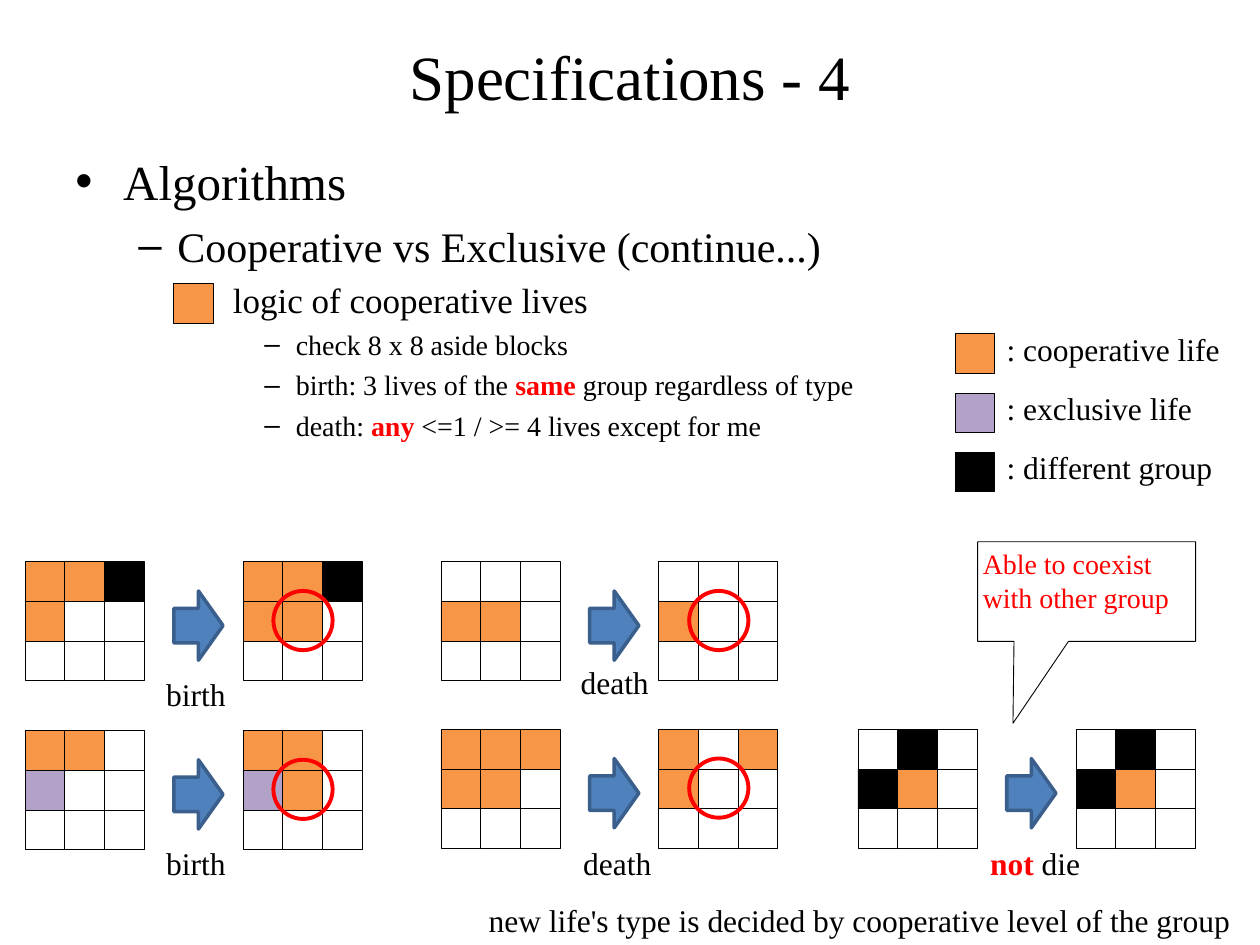
from dataclasses import dataclass
from typing import NamedTuple

from lxml import etree
from pptx import Presentation
from pptx.dml.color import RGBColor
from pptx.enum.shapes import MSO_SHAPE as Shape
from pptx.enum.text import MSO_ANCHOR as Anchor, MSO_AUTO_SIZE as AutoSize, PP_ALIGN as Align
from pptx.oxml.ns import qn
from pptx.util import Inches, Pt

FONT = "Times New Roman"
COLORS = {
    "text": "000000", "accent": "FF0000",
    "cooperative": "F79646", "exclusive": "B3A2C7", "other": "000000", "empty": "FFFFFF",
    "arrow": "4F81BD", "arrow_edge": "3A5F8C",
}
CELL_KINDS = {"C": "cooperative", "X": "exclusive", "#": "other", ".": "empty"}
CELL = 0.315
AFTER_OFFSET = 1.73
ARROW_OFFSET = 1.18
MARK_OFFSET = 0.23


class Words(NamedTuple):
    """A run of text in one colour and weight."""
    text: str
    color: str = "text"
    bold: bool = False


class Bullet(NamedTuple):
    """One outline line; the mark is empty where a square stands in for it."""
    level: int
    mark: str
    words: list[Words]


class OutlineLevel(NamedTuple):
    """Size and indents of an outline level."""
    size: float
    margin: float
    indent: float


@dataclass
class Transition:
    """A before and an after grid, with the outcome named below the arrow."""
    left: float
    top: float
    before: str
    after: str
    label: list[Words]
    label_box: tuple[float, float, float]
    marked: bool = True


LEVELS = [OutlineLevel(28, 0.38, -0.38), OutlineLevel(24, 0.81, -0.31),
          OutlineLevel(20, 1.25, 0), OutlineLevel(16, 1.75, -0.25)]

OUTLINE = [
    Bullet(0, "•", [Words("Algorithms")]),
    Bullet(1, "–", [Words("Cooperative vs Exclusive (continue...)")]),
    Bullet(2, "", [Words("logic of cooperative lives")]),
    Bullet(3, "–", [Words("check 8 x 8 aside blocks")]),
    Bullet(3, "–", [Words("birth: 3 lives of the "), Words("same", "accent", True),
                    Words(" group regardless of type")]),
    Bullet(3, "–", [Words("death: "), Words("any", "accent", True),
                    Words(" <=1 / >= 4 lives except for me")]),
]

BIRTH, DEATH = [Words("birth")], [Words("death")]
TRANSITIONS = [
    Transition(0.2, 4.46, "CC# C.. ...", "CC# CC. ...", BIRTH, (1.22, 5.31, 0.68)),
    Transition(3.5, 4.46, "... CC. ...", "... C.. ...", DEATH, (4.51, 5.21, 0.75)),
    Transition(0.2, 5.8, "CC. X.. ...", "CC. XC. ...", BIRTH, (1.22, 6.65, 0.68)),
    Transition(3.5, 5.79, "CCC CC. ...", "C.C C.. ...", DEATH, (4.53, 6.65, 0.75)),
    Transition(6.81, 5.79, ".#. #C. ...", ".#. #C. ...",
               [Words("not", "accent", True), Words(" die")], (7.76, 6.65, 0.92), False),
]

LEGEND = [("cooperative", ": cooperative life", 1.91),
          ("exclusive", ": exclusive life", 1.69),
          ("other", ": different group", 1.85)]


def rgb(name: str) -> RGBColor:
    """Look up a colour by its role."""
    return RGBColor.from_string(COLORS[name])


def write(paragraph, words: list[Words], size: float) -> None:
    """Add words to a paragraph run by run."""
    for part in words:
        run = paragraph.add_run()
        run.text = part.text
        run.font.name = FONT
        run.font.size = Pt(size)
        run.font.bold = part.bold
        run.font.color.rgb = rgb(part.color)


def add_figure(slide, kind, left: float, top: float, width: float, height: float,
               fill: str = "", line: str = "text", weight: float = 0.5):
    """Draw a preset shape, unfilled when no fill is named."""
    figure = slide.shapes.add_shape(kind, Inches(left), Inches(top), Inches(width), Inches(height))
    figure.shadow.inherit = False
    if fill:
        figure.fill.solid()
        figure.fill.fore_color.rgb = rgb(fill)
    else:
        figure.fill.background()
    figure.line.color.rgb = rgb(line)
    figure.line.width = Pt(weight)
    return figure


def add_cell(slide, left: float, top: float, kind: str) -> None:
    """Draw one square of the life board."""
    add_figure(slide, Shape.RECTANGLE, left, top, CELL, CELL, kind)


def add_label(slide, left: float, top: float, width: float, words: list[Words]) -> None:
    """Place a single line of text."""
    frame = slide.shapes.add_textbox(Inches(left), Inches(top), Inches(width), Inches(0.4)).text_frame
    frame.word_wrap = False
    frame.auto_size = AutoSize.SHAPE_TO_FIT_TEXT
    write(frame.paragraphs[0], words, 18)


def add_grid(slide, left: float, top: float, pattern: str) -> None:
    """Draw a 3 x 3 board from its rows of letters."""
    for row, letters in enumerate(pattern.split()):
        for column, letter in enumerate(letters):
            add_cell(slide, left + column * CELL, top + row * CELL, CELL_KINDS[letter])


def add_transition(slide, step: Transition) -> None:
    """Draw both boards, the arrow, the ring on the changed cell and the outcome."""
    after_left = step.left + AFTER_OFFSET
    mark_top = step.top + MARK_OFFSET
    add_grid(slide, step.left, step.top, step.before)
    add_grid(slide, after_left, step.top, step.after)
    if step.marked:
        add_figure(slide, Shape.OVAL, after_left + MARK_OFFSET + 0.01, mark_top, 0.47, 0.47,
                   line="accent", weight=2.25)
    add_figure(slide, Shape.RIGHT_ARROW, step.left + ARROW_OFFSET, mark_top, 0.39, 0.55,
               "arrow", "arrow_edge", 2)
    add_label(slide, *step.label_box, step.label)


def add_title(slide, text: str) -> None:
    """Move and format the title placeholder."""
    title = slide.shapes.title
    title.left, title.top, title.width, title.height = map(Inches, (0.5, -0.03, 9, 1.25))
    title.text_frame.vertical_anchor = Anchor.MIDDLE
    paragraph = title.text_frame.paragraphs[0]
    paragraph.alignment = Align.CENTER
    write(paragraph, [Words(text)], 36)


def add_outline(slide) -> None:
    """Write the bulleted outline."""
    frame = slide.shapes.add_textbox(Inches(0.5), Inches(1.15), Inches(9), Inches(5.35)).text_frame
    frame.word_wrap = True
    for index, bullet in enumerate(OUTLINE):
        paragraph = frame.add_paragraph() if index else frame.paragraphs[0]
        level = LEVELS[bullet.level]
        paragraph.level = bullet.level
        paragraph.space_before = Pt(level.size * 0.24)
        properties = paragraph._p.get_or_add_pPr()
        properties.set("marL", str(Inches(level.margin)))
        properties.set("indent", str(Inches(level.indent)))
        if bullet.mark:
            etree.SubElement(properties, qn("a:buFont"), typeface="Arial")
            etree.SubElement(properties, qn("a:buChar"), char=bullet.mark)
        write(paragraph, bullet.words, level.size)


def add_callout(slide) -> None:
    """Draw the remark pointing at the surviving life."""
    callout = add_figure(slide, Shape.RECTANGULAR_CALLOUT, 7.76, 4.3, 1.73, 0.79, "empty")
    callout.adjustments[0], callout.adjustments[1] = -0.338, 1.323
    frame = callout.text_frame
    frame.word_wrap = True
    frame.vertical_anchor = Anchor.TOP
    frame.margin_left = frame.margin_right = frame.margin_top = frame.margin_bottom = Inches(0.04)
    frame.paragraphs[0].alignment = Align.LEFT
    write(frame.paragraphs[0], [Words("Able to coexist with other group", "accent")], 16)


deck = Presentation()
deck.slide_width, deck.slide_height = Inches(10), Inches(7.5)
slide = deck.slides.add_slide(deck.slide_layouts[5])
add_title(slide, "Specifications - 4")
add_outline(slide)
add_cell(slide, 1.38, 2.25, "cooperative")
for transition in TRANSITIONS:
    add_transition(slide, transition)
add_callout(slide)
for position, (kind, meaning, width) in enumerate(LEGEND):
    legend_top = 2.65 + position * 0.47
    add_cell(slide, 7.58, legend_top, kind)
    add_label(slide, 7.89, legend_top - 0.08, width, [Words(meaning)])
add_label(slide, 3.78, 7.1, 6.15,
          [Words("new life's type is decided by cooperative level of the group")])
deck.save("out.pptx")
